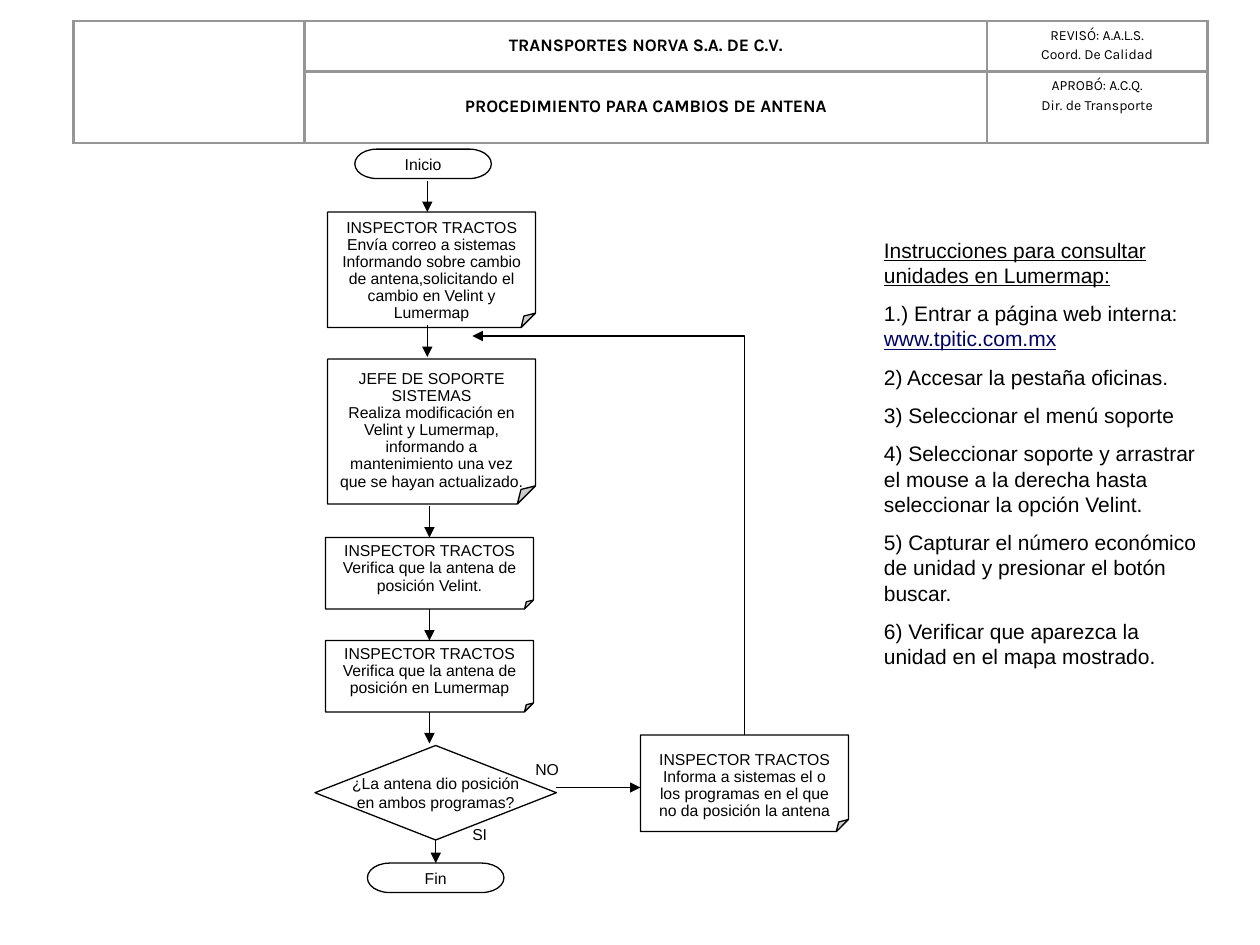
from dataclasses import dataclass

from lxml.etree import SubElement
from pptx import Presentation
from pptx.dml.color import RGBColor
from pptx.enum.shapes import MSO_CONNECTOR, MSO_SHAPE
from pptx.enum.text import MSO_ANCHOR, PP_ALIGN
from pptx.oxml.ns import qn
from pptx.util import Emu, Inches, Pt

COLS, ROWS = 120, 90  # slide grid, twelve steps to the inch
STEP = Inches(10) // COLS
HEX = {"ink": "000000", "paper": "FFFFFF", "rule": "969696", "link": "000066"}
BODY = {"name": "Arial", "size": Pt(9), "bold": False}
NOTE = BODY | {"size": Pt(12)}
HEAD = {"name": "Karla", "size": Pt(10), "bold": True}
SIGN = HEAD | {"size": Pt(8), "bold": False}
MID = {"alignment": PP_ALIGN.CENTER}
TIGHT = MID | {"line_spacing": 0.9}


@dataclass
class Node:
    key: str
    kind: MSO_SHAPE
    col: float
    row: float
    wide: float
    high: float
    lines: list
    drop: float = 0  # extra inset above the text, in inches


@dataclass
class Link:
    start: tuple
    end: tuple
    tail: tuple = ()  # node key and side
    tip: tuple = ()
    bent: bool = False


@dataclass
class Part:
    text: str
    look: dict
    tint: str = "ink"


END, CARD = MSO_SHAPE.FLOWCHART_TERMINATOR, MSO_SHAPE.FOLDED_CORNER
ROLE = "INSPECTOR TRACTOS"
NODES = [
    Node("start", END, 33.8, 14.2, 13, 2.8, ["Inicio"]),
    Node("mail", CARD, 31.2, 20.2, 19.8, 11, [
        ROLE, "Envía correo a sistemas Informando sobre cambio de "
        "antena,solicitando el cambio en Velint y Lumermap"], 0.13),
    Node("edit", CARD, 31.2, 34.2, 19.8, 13.8, [
        "JEFE DE SOPORTE SISTEMAS", "Realiza modificación en Velint y Lumermap, "
        "informando a mantenimiento una vez que se hayan actualizado."], 0.13),
    Node("check", CARD, 31, 51.2, 19.8, 6.8, [
        ROLE, "Verifica que la antena de posición Velint."]),
    Node("map", CARD, 31, 61, 19.8, 6.8, [
        ROLE, "Verifica que la antena de posición en Lumermap"]),
    Node("ask", MSO_SHAPE.DIAMOND, 30, 71, 23, 9, [
        "¿La antena dio posición", "en ambos programas?"]),
    Node("warn", CARD, 61, 70, 19.8, 9.2, [
        ROLE, "Informa a sistemas el o los programas en el que no da "
        "posición la antena"], 0.13),
    Node("end", END, 35, 82.2, 13, 2.8, ["Fin"]),
]
LINKS = [
    Link((40.7, 17.2), (40.7, 20.2)),
    Link((40.7, 31), (40.7, 34)),
    Link((40.9, 48.2), (40.9, 51.2), tip=("check", 0)),
    Link((40.9, 58), (40.9, 61), ("check", 2), ("map", 0)),
    Link((40.9, 67.8), (40.9, 70.8), ("map", 2)),
    Link((41.5, 80), (41.5, 82.2), ("ask", 2), ("end", 0)),
    Link((53, 75), (61, 75)),
    Link((45, 32), (70.9, 70), tip=("warn", 0), bent=True),
]
STEPS = [
    [Part("Instrucciones para consultar unidades en Lumermap:",
          NOTE | {"underline": True})],
    [Part("1.) Entrar a página web interna: ", NOTE),
     Part("www.tpitic.com.mx", NOTE | {"underline": True}, "link")],
] + [[Part(line, NOTE)] for line in (
    "2) Accesar la pestaña oficinas.",
    "3) Seleccionar el menú soporte",
    "4) Seleccionar soporte y arrastrar el mouse a la derecha hasta "
    "seleccionar la opción Velint.",
    "5) Capturar el número económico de unidad y presionar el botón buscar.",
    "6) Verificar que aparezca la unidad en el mapa mostrado.")]
CELLS = [
    (0, 1, ["TRANSPORTES NORVA S.A. DE C.V."], HEAD),
    (0, 2, ["REVISÓ: A.A.L.S.", "Coord. De Calidad"], SIGN),
    (1, 1, ["PROCEDIMIENTO PARA CAMBIOS DE ANTENA"], HEAD),
    (1, 2, ["APROBÓ: A.C.Q.", "Dir. de Transporte"], SIGN),
]


def grid(*steps: float) -> list[Emu]:
    return [Emu(round(step * STEP)) for step in steps]


def tint(name: str) -> RGBColor:
    return RGBColor.from_string(HEX[name])


def apply(item, look: dict) -> None:
    for name, value in look.items():
        setattr(item, name, value)


def plain(lines: list[str], look: dict) -> list[list[Part]]:
    return [[Part(line, look)] for line in lines]


def write(frame, paras: list[list[Part]], form: dict, gap: float = 0) -> None:
    for index, parts in enumerate(paras):
        para = frame.add_paragraph() if index else frame.paragraphs[0]
        apply(para, form | ({"space_before": Pt(gap)} if index else {}))
        for part in parts:
            run = para.add_run()
            run.text = part.text
            apply(run.font, part.look)
            run.font.color.rgb = tint(part.tint)


def draw_node(slide, node: Node):
    shape = slide.shapes.add_shape(
        node.kind, *grid(node.col, node.row, node.wide, node.high))
    shape.shadow.inherit = False
    shape.fill.solid()
    shape.fill.fore_color.rgb = tint("paper")
    shape.line.color.rgb = tint("ink")
    shape.line.width = Pt(0.75)
    if node.kind == CARD:
        folds = next(shape.element.iter(qn("a:avLst")))
        SubElement(folds, qn("a:gd"), name="adj", fmla="val 12500")
    frame = shape.text_frame
    apply(frame, {"word_wrap": node.kind != MSO_SHAPE.DIAMOND,
                  "vertical_anchor": MSO_ANCHOR.MIDDLE,
                  "margin_top": Inches(0.05 + node.drop)})
    write(frame, plain(node.lines, BODY), TIGHT if node.kind == CARD else MID)
    return shape


def draw_link(slide, link: Link, shapes: dict) -> None:
    """Draw an arrow; a bent one runs across, then down, with its head at the start."""
    kind = MSO_CONNECTOR.ELBOW if link.bent else MSO_CONNECTOR.STRAIGHT
    line = slide.shapes.add_connector(kind, *grid(*link.start, *link.end))
    for join, spot in ((line.begin_connect, link.tail), (line.end_connect, link.tip)):
        if spot:
            join(shapes[spot[0]], spot[1])
    line.line.color.rgb = tint("ink")
    line.line.width = Pt(0.75)
    props = line.element.spPr
    if link.bent:
        props.find(qn("a:prstGeom")).set("prst", "bentConnector2")
    SubElement(props.find(qn("a:ln")), qn("a:headEnd" if link.bent else "a:tailEnd"),
               type="triangle")
    SubElement(props, qn("a:effectLst"))


def draw_text(slide, box: tuple, paras: list, gap: float = 0) -> None:
    frame = slide.shapes.add_textbox(*grid(*box)).text_frame
    frame.word_wrap = True
    write(frame, paras, {}, gap)


def rule_cell(cell) -> None:
    """Give a cell its four borders and a white fill."""
    props = cell._tc.get_or_add_tcPr()
    for side in "LRTB":
        edge = SubElement(props, qn(f"a:ln{side}"), w=str(int(Pt(1.5))))
        fill = SubElement(edge, qn("a:solidFill"))
        SubElement(fill, qn("a:srgbClr"), val=HEX["rule"])
    cell.fill.solid()
    cell.fill.fore_color.rgb = tint("paper")


def draw_head(slide) -> None:
    wides, highs = grid(22, 65, 21), grid(4.8, 6.8)
    table = slide.shapes.add_table(
        2, 3, *grid(7, 2), sum(wides), sum(highs)).table
    apply(table, {"first_row": False, "horz_banding": False})
    for col, wide in zip(table.columns, wides):
        col.width = wide
    for row, high in zip(table.rows, highs):
        row.height = high
    for cell in table.iter_cells():
        rule_cell(cell)
    table.cell(0, 0).merge(table.cell(1, 0))
    for row, col, lines, look in CELLS:
        cell = table.cell(row, col)
        cell.vertical_anchor = MSO_ANCHOR.MIDDLE if look is HEAD else MSO_ANCHOR.TOP
        write(cell.text_frame, plain(lines, look), MID, 2)


def main() -> None:
    deck = Presentation()
    deck.slide_width, deck.slide_height = grid(COLS, ROWS)
    slide = deck.slides.add_slide(deck.slide_layouts[6])
    draw_head(slide)
    shapes = {node.key: draw_node(slide, node) for node in NODES}
    for link in LINKS:
        draw_link(slide, link, shapes)
    draw_text(slide, (43.8, 78, 7, 3), plain(["SI"], BODY))
    draw_text(slide, (49.8, 71.8, 7, 3), plain(["NO"], BODY))
    draw_text(slide, (83, 22, 33, 42.4), STEPS, 7.5)
    deck.save("out.pptx")


if __name__ == "__main__":
    main()
